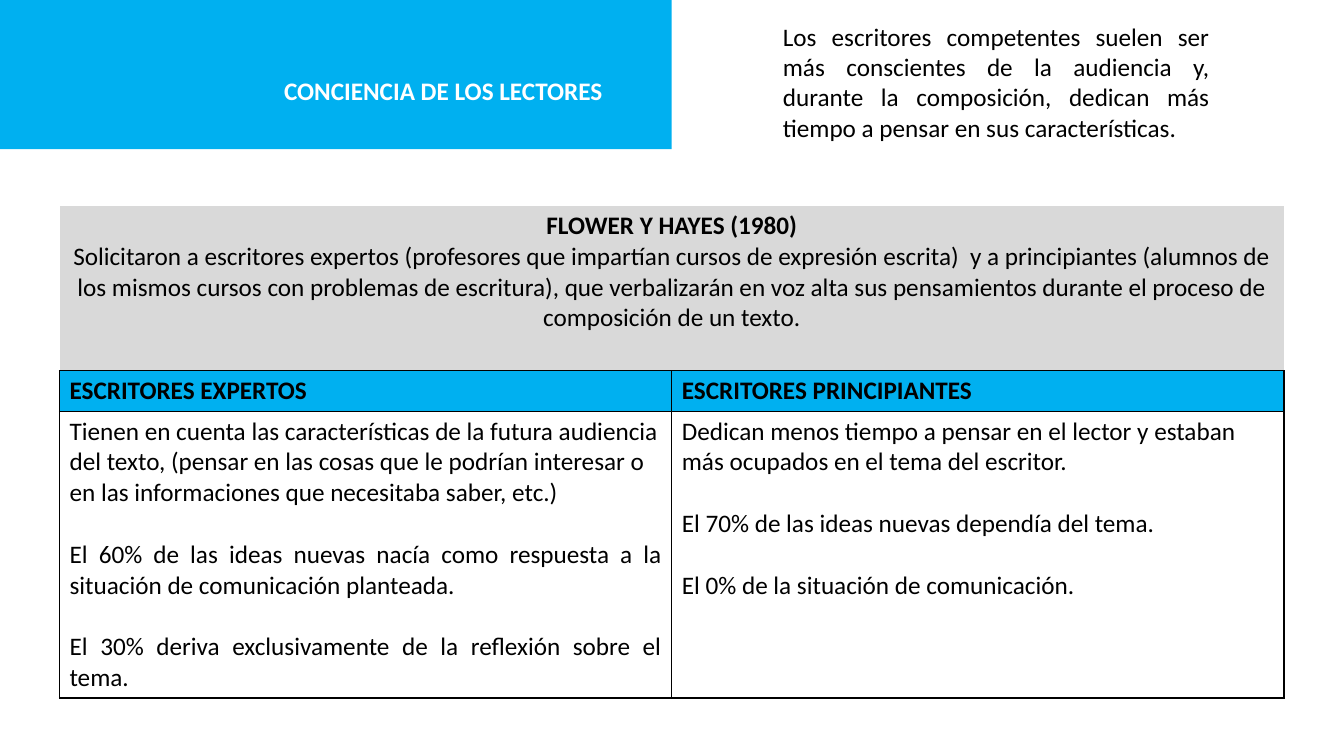
from dataclasses import dataclass
from typing import Any

from lxml import etree
from pptx import Presentation
from pptx import util as u
from pptx.dml.color import RGBColor
from pptx.enum import shapes, text
from pptx.oxml import ns

Align = text.PP_ALIGN


@dataclass(frozen=True)
class Theme:
    font: str = "Calibri"
    size: float = 18
    paragraph_gap: float = 22
    border_width: float = 1
    accent: str = "00B0F0"
    study: str = "D9D9D9"
    paper: str = "FFFFFF"
    ink: str = "000000"


@dataclass(frozen=True)
class Line:
    words: str
    align: Align = Align.LEFT
    bold: bool = False
    gap: float = 0
    color: str = "000000"
    spacing: float = 1.0


@dataclass(frozen=True)
class Entry:
    row: int
    column: int
    lines: tuple[Line, ...]
    fill: str
    sides: str = "LRTB"


THEME = Theme()
GAP = THEME.paragraph_gap

TITLE = Line("CONCIENCIA DE LOS LECTORES", Align.JUSTIFY, bold=True,
             color=THEME.paper, spacing=1.5)
AUDIENCE = Line(
    "Los escritores competentes suelen ser más conscientes de la audiencia y, "
    "durante la composición, dedican más tiempo a pensar en sus características.",
    Align.JUSTIFY)

COLUMN_WIDTH = 15.43
ROW_HEIGHTS = (4.16, 1.02, 7.23)
ENTRIES = (
    Entry(0, 0, (
        Line("FLOWER Y HAYES (1980)", Align.CENTER, bold=True),
        Line("Solicitaron a escritores expertos (profesores que impartían cursos de "
             "expresión escrita)  y a principiantes (alumnos de los mismos cursos con "
             "problemas de escritura), que verbalizarán en voz alta sus pensamientos "
             "durante el proceso de composición de un texto.", Align.CENTER),
    ), THEME.study, sides="B"),
    Entry(1, 0, (Line("ESCRITORES EXPERTOS", bold=True),), THEME.accent),
    Entry(1, 1, (Line("ESCRITORES PRINCIPIANTES", bold=True),), THEME.accent),
    Entry(2, 0, (
        Line("Tienen en cuenta las características de la futura audiencia del texto, "
             "(pensar en las cosas que le podrían interesar o en las informaciones que "
             "necesitaba saber, etc.)"),
        Line("El 60% de las ideas nuevas nacía como respuesta a la situación de "
             "comunicación planteada.", Align.JUSTIFY, gap=GAP),
        Line("El 30% deriva exclusivamente de la reflexión sobre el tema.",
             Align.JUSTIFY, gap=GAP),
    ), THEME.paper),
    Entry(2, 1, (
        Line("Dedican menos tiempo a pensar en el lector y estaban más ocupados en "
             "el tema del escritor."),
        Line("El 70% de las ideas nuevas dependía del tema.", gap=GAP),
        Line("El 0% de la situación de comunicación.", gap=GAP),
    ), THEME.paper),
)


def write_line(para: Any, words: str, *, align: Align, bold: bool, gap: float,
               color: str, spacing: float) -> None:
    para.alignment = align
    para.space_before = u.Pt(gap)
    para.line_spacing = spacing
    span = para.add_run()
    span.text = words
    span.font.name = THEME.font
    span.font.size = u.Pt(THEME.size)
    span.font.bold = bold
    span.font.color.rgb = RGBColor.from_string(color)


def write_lines(frame: Any, lines: tuple[Line, ...]) -> None:
    frame.word_wrap = True
    for index, line in enumerate(lines):
        para = frame.add_paragraph() if index else frame.paragraphs[0]
        write_line(para, line.words, align=line.align, bold=line.bold, gap=line.gap,
                   color=line.color, spacing=line.spacing)


def add_box(page: Any, left: float, top: float, width: float, height: float,
            line: Line) -> None:
    box = page.shapes.add_textbox(u.Cm(left), u.Cm(top), u.Cm(width), u.Cm(height))
    write_lines(box.text_frame, (line,))


def add_band(page: Any, width: float, height: float) -> None:
    band = page.shapes.add_shape(shapes.MSO_SHAPE.RECTANGLE, 0, 0,
                                 u.Cm(width), u.Cm(height))
    band.shadow.inherit = False
    band.fill.solid()
    band.fill.fore_color.rgb = RGBColor.from_string(THEME.accent)
    band.line.fill.background()


def set_borders(cell: Any, sides: str) -> None:
    """Rule the given sides (of L, R, T, B) and clear the others; call before filling."""
    properties = cell._tc.get_or_add_tcPr()
    for side in "LRTB":
        border = etree.SubElement(properties, ns.qn(f"a:ln{side}"),
                                  w=str(u.Pt(THEME.border_width)))
        if side in sides:
            paint = etree.SubElement(border, ns.qn("a:solidFill"))
            etree.SubElement(paint, ns.qn("a:srgbClr"), val=THEME.ink)
        else:
            etree.SubElement(border, ns.qn("a:noFill"))


def style_cell(cell: Any, fill: str, sides: str) -> None:
    set_borders(cell, sides)
    cell.fill.solid()
    cell.fill.fore_color.rgb = RGBColor.from_string(fill)


def add_comparison(page: Any, left: float, top: float) -> None:
    frame = page.shapes.add_table(len(ROW_HEIGHTS), 2, u.Cm(left), u.Cm(top),
                                  u.Cm(2 * COLUMN_WIDTH), u.Cm(sum(ROW_HEIGHTS)))
    table = frame.table
    table.first_row = table.horz_banding = False
    for column in table.columns:
        column.width = u.Cm(COLUMN_WIDTH)
    for row, height in zip(table.rows, ROW_HEIGHTS):
        row.height = u.Cm(height)
    table.cell(0, 0).merge(table.cell(0, 1))
    style_cell(table.cell(0, 1), THEME.study, "B")
    for entry in ENTRIES:
        cell = table.cell(entry.row, entry.column)
        style_cell(cell, entry.fill, entry.sides)
        write_lines(cell.text_frame, entry.lines)


def main() -> None:
    deck = Presentation()
    deck.slide_width, deck.slide_height = u.Cm(33.87), u.Cm(19.05)
    page = deck.slides.add_slide(deck.slide_layouts[6])
    add_band(page, 16.93, 3.76)
    add_box(page, 19.48, 0.41, 11.25, 3.33, AUDIENCE)
    add_box(page, 6.91, 1.4, 9.68, 2.34, TITLE)
    add_comparison(page, 1.5, 5.18)
    deck.save("out.pptx")


if __name__ == "__main__":
    main()
